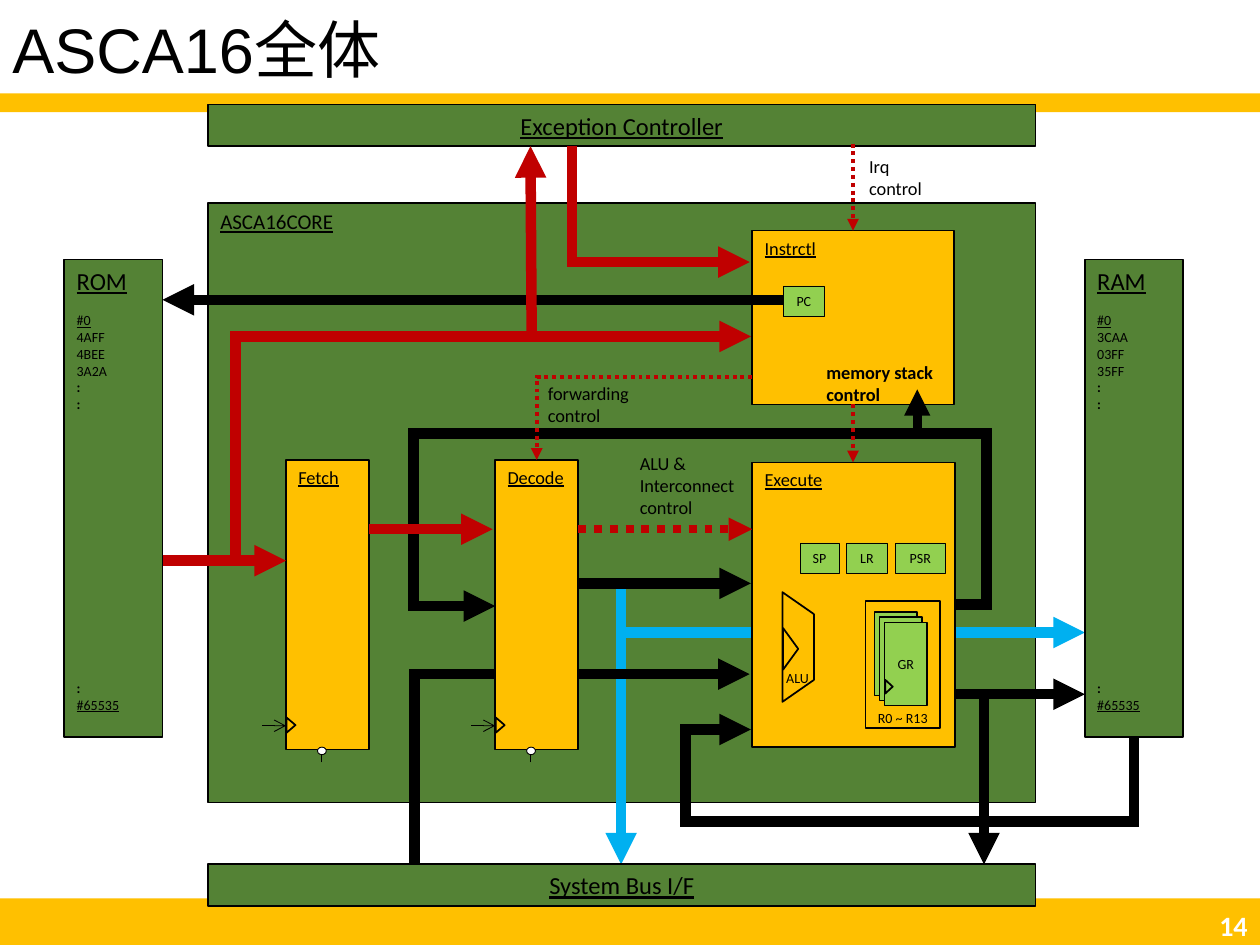
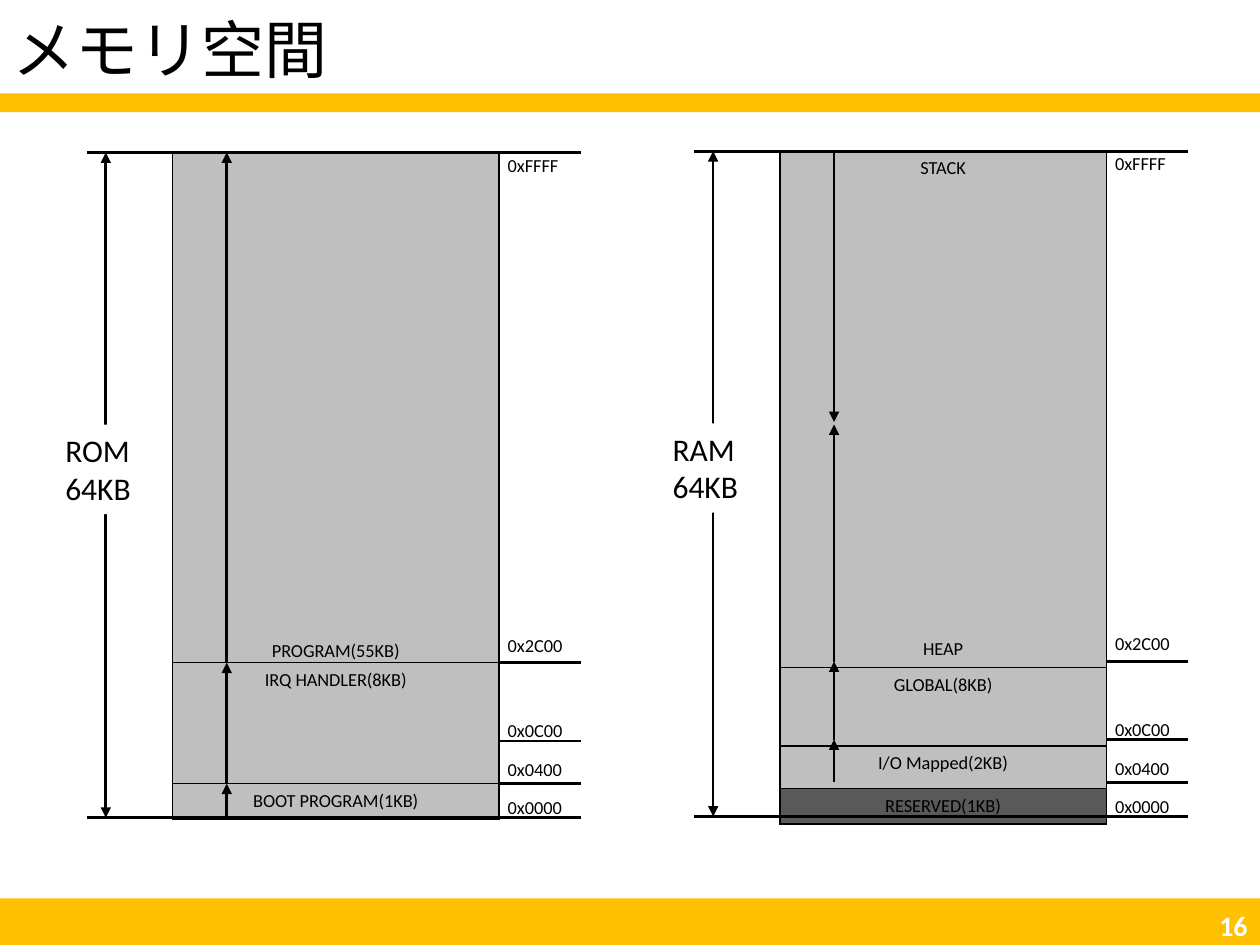
from collections import namedtuple

from lxml import etree
from pptx import Presentation
from pptx.dml.color import RGBColor
from pptx.enum.dml import MSO_LINE
from pptx.enum.shapes import MSO_CONNECTOR, MSO_SHAPE
from pptx.enum.text import MSO_ANCHOR, PP_ALIGN
from pptx.oxml.ns import qn
from pptx.util import Inches, Pt

STRAIGHT = MSO_CONNECTOR.STRAIGHT
RECTANGLE, TRIANGLE, OVAL = MSO_SHAPE.RECTANGLE, MSO_SHAPE.ISOSCELES_TRIANGLE, MSO_SHAPE.OVAL
EXTRACT, ALU_BODY = MSO_SHAPE.FLOWCHART_EXTRACT, MSO_SHAPE.FLOWCHART_MANUAL_OPERATION
DOTTED = MSO_LINE.ROUND_DOT
TOP, MIDDLE, BOTTOM = MSO_ANCHOR.TOP, MSO_ANCHOR.MIDDLE, MSO_ANCHOR.BOTTOM
LEFT, CENTER, RIGHT = PP_ALIGN.LEFT, PP_ALIGN.CENTER, PP_ALIGN.RIGHT

BLACK, WHITE, AMBER, GREEN, LIME = "000000", "FFFFFF", "FFC000", "548235", "92D050"
RED, BLUE, SILVER, GRAY = "C00000", "00B0F0", "BFBFBF", "595959"
BODY_FONT, TITLE_FONT = "Calibri", "Arial"

Box = namedtuple("Box", "left top width height")
PAGE = Box(0, 0, 10, 7.5)


def rgb(value):
    """Turn a hex string into a colour."""
    return RGBColor.from_string(value)


def within(box, left, top, width, height):
    """Return a box placed relative to the corner of another."""
    return Box(box.left + left, box.top + top, width, height)


def write(frame, lines, size, align=LEFT, anchor=TOP, color=BLACK, font=BODY_FONT,
          bold=False, underline=False, margin=None):
    """Fill a text frame or cell frame with one paragraph per line."""
    frame.word_wrap = True
    frame.vertical_anchor = anchor
    if margin is not None:
        frame.margin_left = frame.margin_right = Inches(margin)
        frame.margin_top = frame.margin_bottom = Inches(margin)
    for index, line in enumerate(lines):
        paragraph = frame.add_paragraph() if index else frame.paragraphs[0]
        paragraph.text = line
        paragraph.alignment = align
        paragraph.font.name, paragraph.font.size = font, Pt(size)
        paragraph.font.bold, paragraph.font.underline = bold, underline
        paragraph.font.color.rgb = rgb(color)
    return frame.paragraphs


def add_text(slide, box, lines, size, **style):
    """Add a text box."""
    text_box = slide.shapes.add_textbox(*map(Inches, box))
    return write(text_box.text_frame, lines, size, **style)


def add_block(slide, box, fill=None, line=1, kind=RECTANGLE, rotation=0):
    """Add a preset shape with a black outline of the given width."""
    shape = slide.shapes.add_shape(kind, *map(Inches, box))
    shape.shadow.inherit = False
    shape.rotation = rotation
    if fill:
        shape.fill.solid()
        shape.fill.fore_color.rgb = rgb(fill)
    else:
        shape.fill.background()
    if line:
        shape.line.color.rgb = rgb(BLACK)
        shape.line.width = Pt(line)
    else:
        shape.line.fill.background()
    return shape


def add_wire(slide, box, points, color=BLACK, width=6, dash=None, head=None, tail="triangle"):
    """Draw a straight or bent wire through points relative to the box."""
    places = [(Inches(box.left + x), Inches(box.top + y)) for x, y in points]
    if len(places) == 2:
        wire = slide.shapes.add_connector(STRAIGHT, *places[0], *places[1])
    else:
        builder = slide.shapes.build_freeform(*places[0])
        builder.add_line_segments(places[1:], close=False)
        wire = builder.convert_to_shape()
        wire.fill.background()
    wire.line.color.rgb = rgb(color)
    wire.line.width = Pt(width)
    if dash:
        wire.line.dash_style = dash
    properties = wire.element.spPr
    outline = properties.find(qn("a:ln"))
    etree.SubElement(outline, qn("a:miter"), lim="800000")
    for tag, arrow in (("a:headEnd", head), ("a:tailEnd", tail)):
        if arrow:
            etree.SubElement(outline, qn(tag), type=arrow)
    etree.SubElement(properties, qn("a:effectLst"))


def add_page(presentation, title, number):
    """Add a slide with its bands, title and page number."""
    slide = presentation.slides.add_slide(presentation.slide_layouts[6])
    for top, height in ((7.13, 0.37), (0.74, 0.15)):
        add_block(slide, Box(0, top, PAGE.width, height), AMBER, line=0)
    heading = add_text(slide, Box(0, 0.04, 9.79, 0.76), [title], 36, anchor=MIDDLE, font=TITLE_FONT)
    heading[0].line_spacing = 0.9
    add_text(slide, Box(7.75, 7.18, 2.25, 0.32), [number], 16,
             align=RIGHT, anchor=MIDDLE, color=WHITE, bold=True)
    return slide


def draw_titled(slide, box, name, fill, size=10.5, **style):
    """Draw a block with an underlined name."""
    block = add_block(slide, box, fill)
    write(block.text_frame, [name], size, underline=True, **style)


def draw_memory(slide, box, name, words):
    """Draw a memory column with its first words and last address."""
    block = add_block(slide, box, GREEN)
    lines = [name, "#0", *words, ":", ":", ":", "#65535"]
    paragraphs = write(block.text_frame, lines, 8)
    paragraphs[0].font.size = Pt(14)
    for paragraph in paragraphs:
        paragraph.font.underline = paragraph.text in (name, "#0", "#65535")
        paragraph.font.bold = paragraph.text == ":"
    paragraphs[1].space_before = Pt(9.5)
    paragraphs[-2].space_before = Pt(152.5)


def draw_stage(slide, box, name):
    """Draw a pipeline stage with its clock and reset pins."""
    draw_titled(slide, box, name, AMBER)
    add_block(slide, within(box, -0.02, 2.07, 0.12, 0.07), kind=TRIANGLE, rotation=90)
    add_wire(slide, box, [(-0.19, 2.11), (0, 2.11)], width=0.5, tail="arrow")
    add_wire(slide, box, [(0.28, 2.4), (0.28, 2.3)], width=0.5, tail=None)
    add_block(slide, within(box, 0.25, 2.28, 0.07, 0.06), WHITE, 0.5, OVAL)


def draw_register(slide, box, name, line=0.5):
    """Draw a small named register."""
    register = add_block(slide, box, LIME, line)
    write(register.text_frame, [name], 8, align=CENTER, anchor=MIDDLE, margin=0)


def draw_execute(slide, box):
    """Draw the execute unit with its registers and ALU."""
    draw_titled(slide, box, "Execute", AMBER)
    for left, width, name in ((0.38, 0.31, "SP"), (0.75, 0.32, "LR"), (1.14, 0.39, "PSR")):
        draw_register(slide, within(box, left, 0.64, width, 0.24), name)
    add_block(slide, within(box, -0.07, 1.34, 0.87, 0.25), AMBER, kind=ALU_BODY, rotation=270)
    add_block(slide, within(box, 0.14, 1.42, 0.33, 0.12), AMBER, kind=TRIANGLE, rotation=90)
    add_text(slide, within(box, 0.16, 1.59, 0.4, 0.24), ["ALU"], 8,
             align=CENTER, anchor=MIDDLE, margin=0)
    add_block(slide, within(box, 0.9, 1.1, 0.59, 1.01), AMBER)
    for index, name in enumerate(("", "", "GR")):
        step = 0.04 * index
        draw_register(slide, within(box, 0.97 + step, 1.19 + step, 0.34, 0.66), name, 1)
    add_block(slide, within(box, 1.03, 1.75, 0.11, 0.06), LIME, kind=EXTRACT, rotation=90)
    add_text(slide, within(box, 0.9, 1.91, 0.59, 0.24), ["R0 ~ R13"], 8,
             align=CENTER, anchor=MIDDLE, margin=0)


def draw_instruction_control(slide, box):
    """Draw the instruction control unit with its program counter."""
    draw_titled(slide, box, "Instrctl", AMBER)
    draw_register(slide, within(box, 0.25, 0.44, 0.32, 0.24), "PC")


def draw_back_wires(slide, box):
    """Draw the wires that pass behind the units."""
    add_wire(slide, box, [(9, 5.85), (9, 6.52), (5.44, 6.52), (5.44, 5.79), (5.96, 5.79)])
    add_wire(slide, box, [(4.93, 4.63), (4.93, 5.02), (8.61, 5.02)], BLUE)
    add_wire(slide, box, [(4.93, 4.63), (4.93, 6.86)], BLUE)
    add_wire(slide, box, [(7.58, 4.8), (7.83, 4.8), (7.83, 3.44),
                          (3.28, 3.44), (3.28, 4.81), (3.93, 4.81)])
    add_wire(slide, box, [(3.29, 6.86), (3.29, 5.35), (5.95, 5.35)])


def draw_front_wires(slide, box):
    """Draw the wires that pass over the units."""
    for points in ([(6.22, 2.38), (1.29, 2.38)], [(4.58, 4.63), (5.96, 4.63)],
                   [(7.58, 5.51), (8.61, 5.51)], [(7.81, 5.52), (7.81, 6.86)]):
        add_wire(slide, box, points)
    add_wire(slide, box, [(7.28, 3.43), (7.28, 3.09)], width=5)
    for points in ([(1.29, 4.45), (2.27, 4.45)], [(2.93, 4.2), (3.91, 4.2)],
                   [(4.22, 2.67), (4.21, 1.16)], [(4.54, 1.16), (4.54, 2.08), (5.95, 2.08)],
                   [(1.29, 4.45), (1.87, 4.45), (1.87, 2.67), (5.96, 2.67)]):
        add_wire(slide, box, points, RED)
    add_wire(slide, box, [(4.59, 4.2), (5.97, 4.2)], RED, 4.5, DOTTED)
    for points in ([(6.77, 1.14), (6.77, 1.83)], [(6.77, 3.21), (6.77, 3.67)],
                   [(5.97, 2.99), (4.26, 2.99), (4.26, 3.65)]):
        add_wire(slide, box, points, RED, 2.25, DOTTED)


def draw_wire_labels(slide, box):
    """Name the control wires."""
    add_text(slide, within(box, 6.8, 1.18, 0.8, 0.45), ["Irq control"], 10.5)
    add_text(slide, within(box, 4.25, 2.98, 0.94, 0.45), ["forwarding", "control"], 10.5)
    add_text(slide, within(box, 6.46, 2.82, 1.14, 0.45), ["memory stack control"], 10.5, bold=True)
    add_text(slide, within(box, 4.98, 3.54, 0.97, 0.63), ["ALU & Interconnect", "control"], 10.5)


def draw_processor(slide, box):
    """Draw the whole processor diagram."""
    draw_titled(slide, within(box, 1.65, 1.61, 6.57, 4.76), "ASCA16CORE", GREEN, 12)
    draw_back_wires(slide, box)
    draw_memory(slide, within(box, 0.51, 2.06, 0.78, 3.79), "ROM", ["4AFF", "4BEE", "3A2A"])
    draw_memory(slide, within(box, 8.61, 2.06, 0.78, 3.79), "RAM", ["3CAA", "03FF", "35FF"])
    for left, name in ((2.27, "Fetch"), (3.93, "Decode")):
        draw_stage(slide, within(box, left, 3.65, 0.66, 2.3), name)
    draw_instruction_control(slide, within(box, 5.97, 1.83, 1.6, 1.38))
    draw_execute(slide, within(box, 5.97, 3.67, 1.61, 2.26))
    for top, name in ((0.83, "Exception Controller"), (6.86, "System Bus I/F")):
        draw_titled(slide, within(box, 1.65, top, 6.57, 0.33), name, GREEN, 14,
                    align=CENTER, anchor=MIDDLE)
    draw_wire_labels(slide, box)
    draw_front_wires(slide, box)


def add_borders(cell):
    """Give a cell a thin black border on every side."""
    properties = cell._tc.get_or_add_tcPr()
    for index, side in enumerate(("a:lnL", "a:lnR", "a:lnT", "a:lnB")):
        border = etree.Element(qn(side), w=str(Pt(1)))
        fill = etree.SubElement(border, qn("a:solidFill"))
        etree.SubElement(fill, qn("a:srgbClr"), val=BLACK)
        properties.insert(index, border)


def draw_regions(slide, box, regions):
    """Draw the table of memory regions, each with height, lines and fill."""
    table = slide.shapes.add_table(len(regions), 1, *map(Inches, box)).table
    table.first_row = table.horz_banding = False
    for row, (height, lines, fill) in zip(table.rows, regions):
        row.height = Inches(height)
        cell = row.cells[0]
        cell.fill.solid()
        cell.fill.fore_color.rgb = rgb(fill)
        add_borders(cell)
        paragraphs = write(cell.text_frame, lines, 10.5, align=CENTER)
        if len(lines) > 1:
            paragraphs[-1].space_before = Pt(262)
    return table


def draw_address_map(slide, box, name, regions, growth):
    """Draw a memory map with its address scale and growth arrows."""
    height = sum(region[0] for region in regions)
    table = draw_regions(slide, within(box, 0.95, 0, 2.59, height), regions)
    for start, end in growth:
        add_wire(slide, box, [(1.38, start), (1.38, end)], width=1.5)
    for left, tops in ((0.27, (0, box.height)), (3.54, (4.05, 4.67, 5.01))):
        for top in tops:
            add_wire(slide, box, [(left, top), (box.width, top)], width=1.5, tail=None)
    add_wire(slide, box, [(0.42, 0), (0.42, box.height)], width=1.5, head="triangle")
    caption = add_block(slide, within(box, 0, 2.16, 0.83, 0.71), WHITE, line=0)
    write(caption.text_frame, [name, "64KB"], 18)
    for top, address in ((0.01, "0xFFFF"), (3.82, "0x2C00"), (4.5, "0x0C00"),
                         (4.81, "0x0400"), (5.11, "0x0000")):
        add_text(slide, within(box, 3.61, top, 0.46, 0.18), [address], 10.5, margin=0)
    return table


def main():
    """Build both slides and save them."""
    presentation = Presentation()
    presentation.slide_width, presentation.slide_height = Inches(PAGE.width), Inches(PAGE.height)
    draw_processor(add_page(presentation, "ASCA16全体", "14"), PAGE)

    slide = add_page(presentation, "メモリ空間", "16")
    rom_regions = [(4.05, ["PROGRAM(55KB)"], SILVER), (0.96, ["IRQ HANDLER(8KB)"], SILVER),
                   (0.28, ["BOOT PROGRAM(1KB)"], SILVER)]
    ram_regions = [(4.1, ["STACK", "HEAP"], SILVER), (0.62, ["GLOBAL(8KB)"], SILVER),
                   (0.34, ["I/O Mapped(2KB)"], SILVER), (0.28, ["RESERVED(1KB)"], GRAY)]
    rom = draw_address_map(slide, Box(0.42, 1.21, 4.19, 5.28), "ROM", rom_regions,
                           [(5.28, 5.01), (5.01, 4.05), (4.05, 0)])
    program = rom.cell(0, 0)
    program.vertical_anchor, program.margin_bottom = BOTTOM, 0
    draw_address_map(slide, Box(5.24, 1.2, 4.19, 5.28), "RAM", ram_regions,
                     [(5.01, 4.67), (4.67, 4.05), (4.05, 2.17), (0, 2.15)])
    presentation.save("out.pptx")


main()
